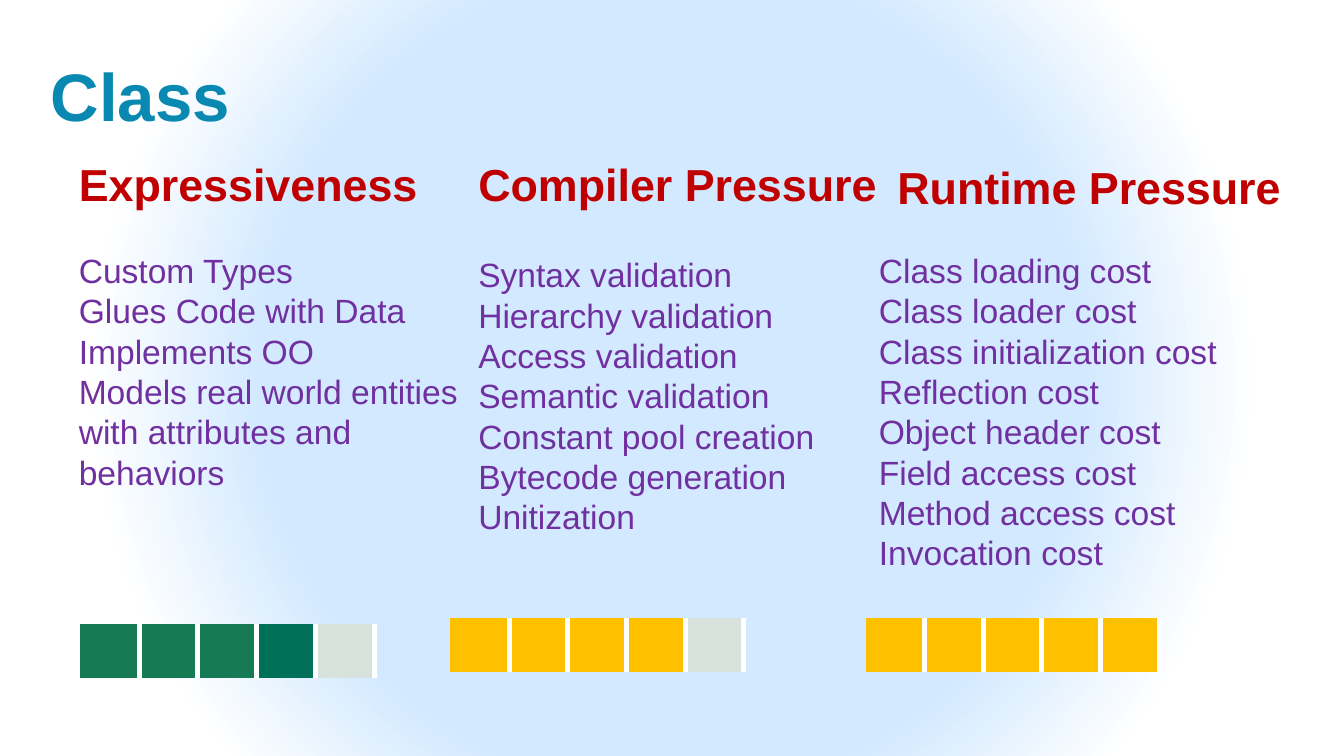
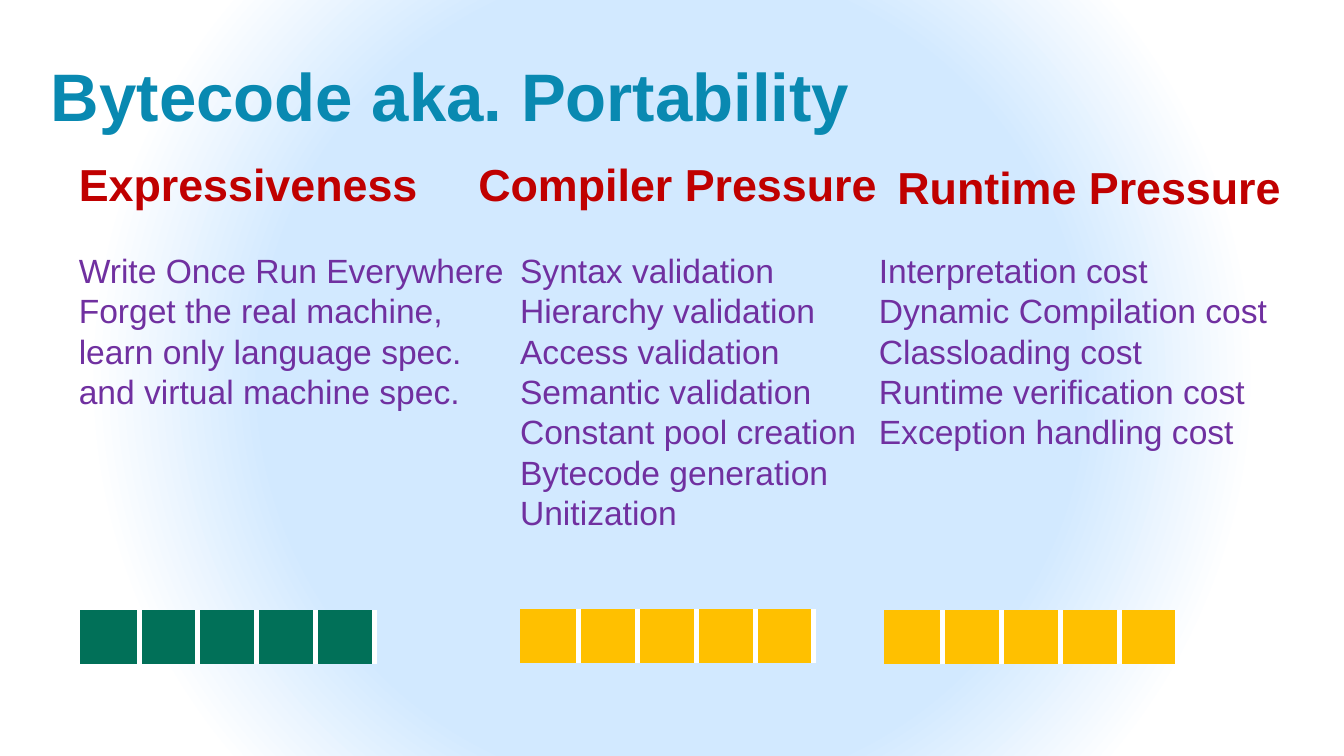
from dataclasses import dataclass

import pptx
import pptx.dml.color
import pptx.enum.text
import pptx.oxml
import pptx.oxml.ns
import pptx.util
from pptx.util import Cm


@dataclass(frozen=True)
class Theme:
    font: str = "Arial"
    title: str = "0989B1"
    heading: str = "C00000"
    body: str = "7030A0"
    glow: str = "D2E9FF"
    white: str = "FFFFFF"
    green: str = "167B54"
    teal: str = "017058"
    amber: str = "FFC000"
    unfilled: str = "D7E2DC"
    title_size: int = 36
    heading_size: int = 24
    body_size: int = 18
    divider: int = 3


@dataclass(frozen=True)
class Column:
    """Points and rating of one heading; positions in centimetres."""
    points: list
    line_count: int
    left: float
    top: float
    width: float
    rating: list
    rating_left: float
    rating_top: float


THEME = Theme()
# Heading, left, top, width
HEADINGS = [
    ("Expressiveness", 1.24, 2.84, 7.57),
    ("Compiler Pressure", 8.79, 2.84, 8.15),
    ("Runtime Pressure", 16.71, 2.9, 8.15),
]
VALIDATION_POINTS = [
    "Syntax validation", "Hierarchy validation", "Access validation",
    "Semantic validation", "Constant pool creation", "Bytecode generation",
    "Unitization",
]
RATING_STEP, RATING_HEIGHT = 1.11, 1.02
NO_STYLE = "{2D5ABB26-0587-4C30-8999-92F81FD0307C}"


def rgb(colour):
    return pptx.dml.color.RGBColor.from_string(colour)


def set_background(slide):
    """Radial glow fading to white towards the edges."""
    slide.background.fill.gradient()
    gradient = slide.element.xpath(".//p:bg//a:gradFill")[0]
    stops = "".join(
        f'<a:gs pos="{percent * 1000}"><a:srgbClr val="{colour}"/></a:gs>'
        for percent, colour in
        [(53, THEME.glow), (76, THEME.white), (100, THEME.white)])
    glow = pptx.oxml.parse_xml(
        f'<a:gradFill {pptx.oxml.ns.nsdecls("a")} rotWithShape="1">'
        f'<a:gsLst>{stops}</a:gsLst><a:path path="circle">'
        '<a:fillToRect l="50000" t="50000" r="50000" b="50000"/>'
        '</a:path></a:gradFill>')
    gradient.getparent().replace(gradient, glow)


def add_text(slide, lines, left, top, width, size, colour,
             bold=False, line_count=1):
    height = line_count * size * 0.0428 + 0.25
    box = slide.shapes.add_textbox(Cm(left), Cm(top), Cm(width), Cm(height))
    frame = box.text_frame
    frame.word_wrap = True
    frame.auto_size = pptx.enum.text.MSO_AUTO_SIZE.SHAPE_TO_FIT_TEXT
    frame.text = "\n".join(lines)
    for paragraph in frame.paragraphs:
        for run in paragraph.runs:
            run.font.name = THEME.font
            run.font.size = pptx.util.Pt(size)
            run.font.bold = bold
            run.font.color.rgb = rgb(colour)


def add_divider(cell, side):
    width = pptx.util.Pt(THEME.divider)
    cell._tc.get_or_add_tcPr().append(pptx.oxml.parse_xml(
        f'<a:{side} {pptx.oxml.ns.nsdecls("a")} w="{width}"><a:solidFill>'
        f'<a:srgbClr val="{THEME.white}"/></a:solidFill></a:{side}>'))


def add_rating(slide, colours, left, top):
    """Row of five coloured cells with white dividers."""
    rating = slide.shapes.add_table(
        1, len(colours), Cm(left), Cm(top),
        Cm(RATING_STEP * len(colours)), Cm(RATING_HEIGHT)).table
    rating.first_row = rating.horz_banding = False
    rating._tbl.xpath(".//a:tableStyleId")[0].text = NO_STYLE
    for index, colour in enumerate(colours):
        rating.columns[index].width = Cm(RATING_STEP)
        cell = rating.cell(0, index)
        if index > 0:
            add_divider(cell, "lnL")
        add_divider(cell, "lnR")
        cell.fill.solid()
        cell.fill.fore_color.rgb = rgb(colour)


def add_topic(presentation, title, title_width, columns):
    slide = presentation.slides.add_slide(presentation.slide_layouts[6])
    set_background(slide)
    add_text(slide, [title], 0.71, 0.91, title_width,
             THEME.title_size, THEME.title, bold=True)
    for column in columns:
        add_text(slide, column.points, column.left, column.top, column.width,
                 THEME.body_size, THEME.body, line_count=column.line_count)
    for heading, left, top, width in HEADINGS:
        add_text(slide, [heading], left, top, width,
                 THEME.heading_size, THEME.heading, bold=True)
    for column in columns:
        add_rating(slide, column.rating, column.rating_left, column.rating_top)


def main():
    presentation = pptx.Presentation()
    presentation.slide_width = Cm(25.4)
    presentation.slide_height = Cm(14.29)

    # Class
    add_topic(presentation, "Class", 24.49, [
        Column(["Custom Types", "Glues Code with Data", "Implements OO",
                "Models real world entities with attributes and behaviors"],
               6, 1.24, 4.6, 7.7,
               [THEME.green] * 3 + [THEME.teal, THEME.unfilled], 1.52, 11.79),
        Column(VALIDATION_POINTS, 7, 8.79, 4.68, 7.37,
               [THEME.amber] * 4 + [THEME.unfilled], 8.51, 11.68),
        Column(["Class loading cost", "Class loader cost",
                "Class initialization cost", "Reflection cost",
                "Object header cost", "Field access cost",
                "Method access cost", "Invocation cost"],
               8, 16.36, 4.6, 8.03, [THEME.amber] * 5, 16.36, 11.68),
    ])

    # Bytecode
    add_topic(presentation, "Bytecode aka. Portability", 16, [
        Column(["Write Once Run Everywhere",
                "Forget the real machine, learn only language spec. "
                "and virtual machine spec."],
               4, 1.24, 4.6, 8.58, [THEME.teal] * 5, 1.52, 11.53),
        Column(VALIDATION_POINTS, 7, 9.58, 4.6, 7.37,
               [THEME.amber] * 5, 9.83, 11.51),
        Column(["Interpretation cost", "Dynamic Compilation cost",
                "Classloading cost", "Runtime verification cost",
                "Exception handling cost"],
               5, 16.36, 4.6, 8.03, [THEME.amber] * 5, 16.71, 11.53),
    ])

    presentation.save("out.pptx")


if __name__ == "__main__":
    main()
